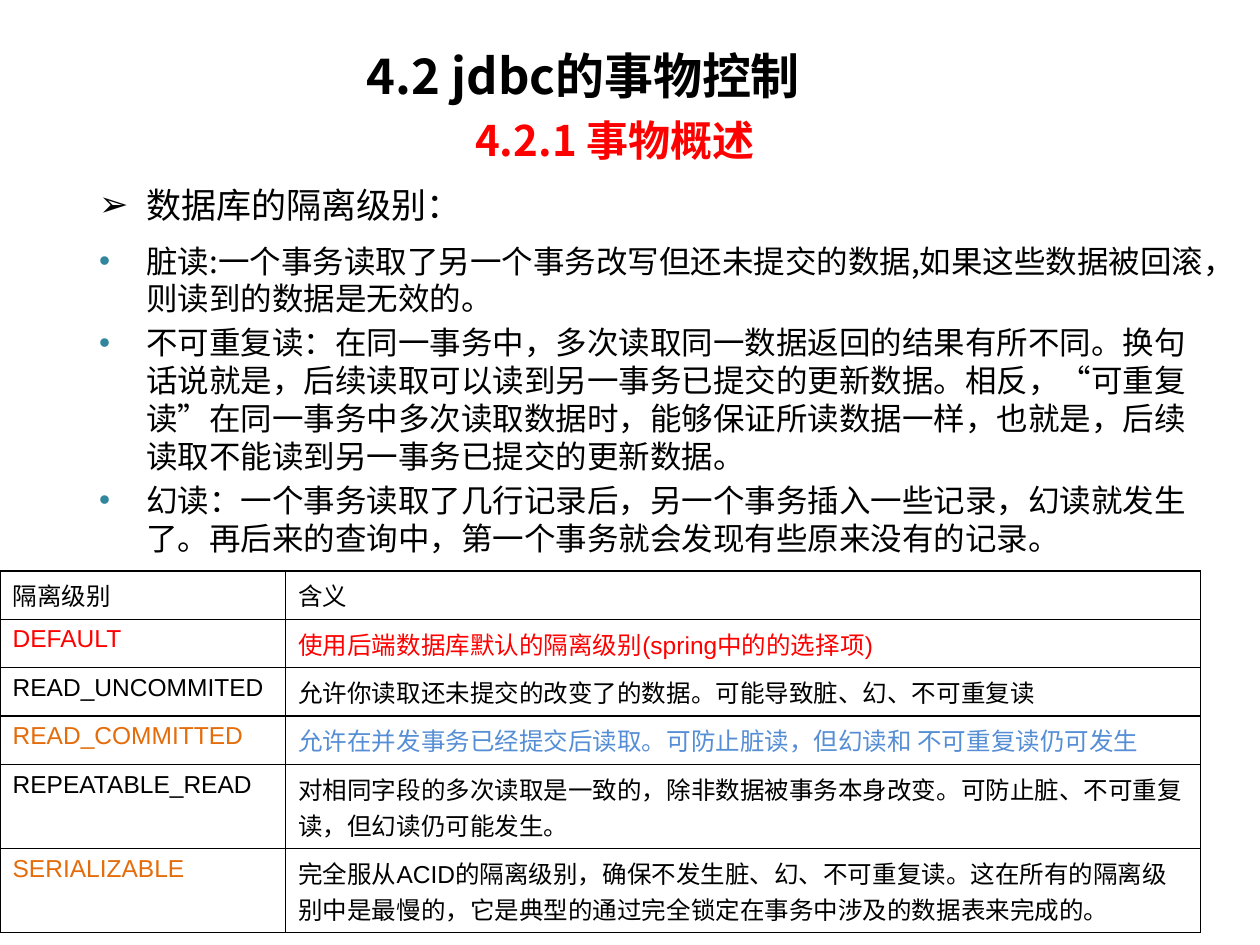
import pptx
import pptx.util
import pptx.dml.color
import pptx.enum.text
import pptx.oxml
import pptx.oxml.ns
from lxml import etree

Cm, Pt = pptx.util.Cm, pptx.util.Pt
CJK = "Noto Sans CJK SC"
BLACK, RED, ORANGE, BLUE, TEAL = "000000", "FF0000", "E46C0A", "558ED5", "31859C"

# Content
TITLE = "4.2 jdbc的事物控制"
SUBTITLE = "4.2.1 事物概述"
# text, bullet, bullet colour, size, space before
POINTS = [
    ("数据库的隔离级别：", "➢", BLACK, 20, 4),
    ("脏读:一个事务读取了另一个事务改写但还未提交的数据,如果这些数据被回滚，则读到的数据是无效的。",
     "•", TEAL, 18, 9),
    ("不可重复读：在同一事务中，多次读取同一数据返回的结果有所不同。换句话说就是，后续读取可以读到另一事务已提交的更新数据。"
     "相反，“可重复读”在同一事务中多次读取数据时，能够保证所读数据一样，也就是，后续读取不能读到另一事务已提交的更新数据。",
     "•", TEAL, 18, 3.6),
    ("幻读：一个事务读取了几行记录后，另一个事务插入一些记录，幻读就发生了。再后来的查询中，第一个事务就会发现有些原来没有的记录。",
     "•", TEAL, 18, 3.6),
]
# level, level colour, meaning, meaning colour, lines of text
LEVELS = [
    ("隔离级别", BLACK, "含义", BLACK, 1),
    ("DEFAULT", RED, "使用后端数据库默认的隔离级别(spring中的的选择项)", RED, 1),
    ("READ_UNCOMMITED", BLACK, "允许你读取还未提交的改变了的数据。可能导致脏、幻、不可重复读", BLACK, 1),
    ("READ_COMMITTED", ORANGE, "允许在并发事务已经提交后读取。可防止脏读，但幻读和 不可重复读仍可发生", BLUE, 1),
    ("REPEATABLE_READ", BLACK,
     "对相同字段的多次读取是一致的，除非数据被事务本身改变。可防止脏、不可重复读，但幻读仍可能发生。", BLACK, 2),
    ("SERIALIZABLE", ORANGE,
     "完全服从ACID的隔离级别，确保不发生脏、幻、不可重复读。这在所有的隔离级别中是最慢的，"
     "它是典型的通过完全锁定在事务中涉及的数据表来完成的。", BLACK, 2),
]
COLUMNS = [5.76, 18.44]
ROW_BASE, ROW_LINE = 0.25, 0.72


def add_xml(parent, tag, **attrs):
    return etree.SubElement(parent, pptx.oxml.ns.qn(tag), attrs)


def format_text(p, size, color, font=CJK, bold=False):
    p.alignment = pptx.enum.text.PP_ALIGN.LEFT
    for r in p.runs:
        r.font.size, r.font.bold, r.font.name = Pt(size), bold, font
        r.font.color.rgb = pptx.dml.color.RGBColor.from_string(color)
        add_xml(r.font._element, "a:ea", typeface=CJK)


def place(s, left, top, width, height):
    s.left, s.top, s.width, s.height = Cm(left), Cm(top), Cm(width), Cm(height)
    tf = s.text_frame
    tf.word_wrap = True
    tf.auto_size = pptx.enum.text.MSO_AUTO_SIZE.NONE
    tf.vertical_anchor = pptx.enum.text.MSO_ANCHOR.TOP
    return tf


def add_bullet(p, char, color):
    pPr = p._p.get_or_add_pPr()
    pPr.set("marL", str(Cm(0.95)))
    pPr.set("indent", str(-Cm(0.95)))
    add_xml(add_xml(pPr, "a:buClr"), "a:srgbClr", val=color)
    add_xml(pPr, "a:buFont", typeface="Arial")
    add_xml(pPr, "a:buChar", char=char)


def add_borders(cell):
    tcPr = cell._tc.get_or_add_tcPr()
    for side in ("a:lnL", "a:lnR", "a:lnT", "a:lnB"):
        ln = add_xml(tcPr, side, w=str(Pt(1)))
        add_xml(add_xml(ln, "a:solidFill"), "a:srgbClr", val=BLACK)


prs = pptx.Presentation()
prs.slide_width, prs.slide_height = Cm(25.4), Cm(19.05)
slide = prs.slides.add_slide(prs.slide_layouts[5])

# Headings
tf = place(slide.shapes.title, 7.14, 0.79, 17.07, 1.5)
tf.text = TITLE
format_text(tf.paragraphs[0], 28, BLACK, bold=True)

tf = place(slide.shapes.add_textbox(0, 0, 0, 0), 9.33, 2.18, 14.68, 1.27)
tf.text = SUBTITLE
format_text(tf.paragraphs[0], 24, RED, bold=True)

# Bulleted points
tf = place(slide.shapes.add_textbox(0, 0, 0, 0), 1.75, 3.58, 22.86, 7.9)
tf.text = "\n".join(point[0] for point in POINTS)
for p, (_, char, color, size, before) in zip(tf.paragraphs, POINTS):
    format_text(p, size, BLACK)
    p.line_spacing, p.space_before = 1.0, Pt(before)
    add_bullet(p, char, color)

# Table of isolation levels
heights = [ROW_BASE + ROW_LINE * level[-1] for level in LEVELS]
table = slide.shapes.add_table(len(LEVELS), len(COLUMNS), Cm(0), Cm(11.51),
                               Cm(sum(COLUMNS)), Cm(sum(heights))).table
table.first_row = table.horz_banding = False
for column, width in zip(table.columns, COLUMNS):
    column.width = Cm(width)
for row, height, (name, name_color, meaning, meaning_color, _) in zip(table.rows, heights, LEVELS):
    row.height = Cm(height)
    for cell, text, color in zip(row.cells, (name, meaning), (name_color, meaning_color)):
        cell.text = text
        p = cell.text_frame.paragraphs[0]
        format_text(p, 14, color, "Arial")
        p.space_before = Pt(2.8)
        add_borders(cell)
        cell.fill.background()

prs.save("out.pptx")
